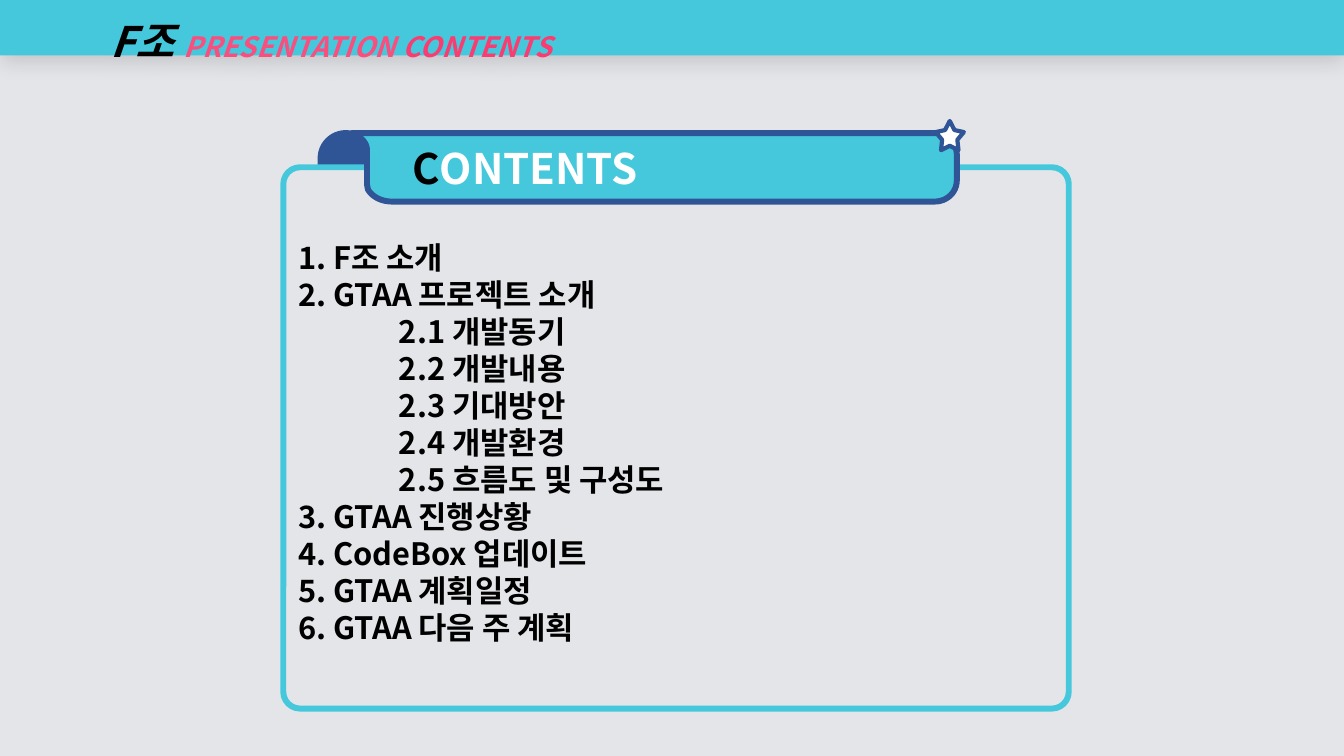
from lxml import etree
from pptx import Presentation
from pptx.dml.color import RGBColor
from pptx.enum import shapes, text
from pptx.oxml.ns import qn
from pptx.util import Inches, Pt

FONT = "Noto Sans CJK KR"
CYAN, NAVY, GREY, WHITE, BLACK = "45C8DC", "2F5597", "E3E5E9", "FFFFFF", "000000"
KIND = shapes.MSO_SHAPE


def paint(shape, fill, line=None, width=0):
    """Set fill and outline, round the corners of the outline and drop the shadow."""
    shape.shadow.inherit = False
    shape.fill.solid()
    shape.fill.fore_color.rgb = RGBColor.from_string(fill)
    if line is None:
        shape.line.fill.background()
        return
    shape.line.color.rgb = RGBColor.from_string(line)
    shape.line.width = Pt(width)
    etree.SubElement(shape.element.spPr.find(qn("a:ln")), qn("a:round"))


def write(para, spans, indent=0):
    """Add bold left-aligned spans of (wording, size, colour, italic)."""
    para.alignment = text.PP_ALIGN.LEFT
    properties = para._p.get_or_add_pPr()
    properties.set("marL", str(Inches(indent)))
    properties.set("indent", "0")
    for wording, size, colour, italic in spans:
        span = para.add_run()
        span.text = wording
        span.font.size = Pt(size)
        span.font.bold = True
        span.font.italic = italic
        span.font.name = FONT
        span.font.color.rgb = RGBColor.from_string(colour)
        etree.SubElement(span.font._element, qn("a:ea"), typeface=FONT)


deck = Presentation()
deck.slide_width, deck.slide_height = Inches(13.33), Inches(7.5)
page = deck.slides.add_slide(deck.slide_layouts[6])
page.background.fill.solid()
page.background.fill.fore_color.rgb = RGBColor.from_string(GREY)

# Curl behind the banner
curl = page.shapes.add_shape(KIND.ROUND_2_SAME_RECTANGLE, Inches(3.18), Inches(1.32), Inches(0.5), Inches(0.98))
curl.adjustments[0] = 0.5
paint(curl, NAVY, NAVY, 4.25)

# Contents panel
panel = page.shapes.add_shape(KIND.ROUNDED_RECTANGLE, Inches(2.81), Inches(1.66), Inches(7.79), Inches(5.37))
panel.adjustments[0] = 0.031
paint(panel, GREY, CYAN, 4.25)
frame = panel.text_frame
frame.word_wrap = True
frame.vertical_anchor = text.MSO_ANCHOR.MIDDLE
frame.margin_top = Inches(0.13)
entries = [
    ("1. F조 소개", 0),
    ("2. GTAA 프로젝트 소개", 0),
    ("2.1 개발동기", 1),
    ("2.2 개발내용", 1),
    ("2.3 기대방안", 1),
    ("2.4 개발환경", 1),
    ("2.5 흐름도 및 구성도", 1),
    ("3. GTAA 진행상황", 0),
    ("4. CodeBox 업데이트", 0),
    ("5. GTAA 계획일정", 0),
    ("6. GTAA 다음 주 계획", 0),
]
for number, (entry, indent) in enumerate(entries):
    para = frame.add_paragraph() if number else frame.paragraphs[0]
    write(para, [(entry, 22, BLACK, False)], indent)

# Banner: each step is an end point, or two control points and an end point
steps = [
    [(9.27, 1.32)],
    [(9.39, 1.32), (9.49, 1.42), (9.49, 1.53)],
    [(9.49, 1.79)],
    [(9.49, 1.91), (9.39, 2), (9.27, 2)],
    [(3.89, 2)],
    [(3.78, 2), (3.69, 1.95), (3.65, 1.88)],
    [(3.64, 1.83)],
    [(3.64, 1.49)],
    [(3.64, 1.43), (3.6, 1.37), (3.53, 1.35)],
    [(3.49, 1.34)],
]
outline = [(3.49, 1.32)]
for step in steps:
    if len(step) == 1:
        outline += step
        continue
    curve = [outline[-1], *step]
    for t in (n / 12 for n in range(1, 13)):
        weights = ((1 - t) ** 3, 3 * t * (1 - t) ** 2, 3 * t**2 * (1 - t), t**3)
        outline.append(tuple(sum(w * point[axis] for w, point in zip(weights, curve)) for axis in (0, 1)))
corners = [(Inches(x), Inches(y)) for x, y in outline]
builder = page.shapes.build_freeform(*corners[0])
builder.add_line_segments(corners[1:], close=True)
banner = builder.convert_to_shape()
paint(banner, CYAN, NAVY, 4.25)
banner.text_frame.word_wrap = True
banner.text_frame.vertical_anchor = text.MSO_ANCHOR.MIDDLE
write(banner.text_frame.paragraphs[0], [("C", 30, BLACK, False), ("ONTENTS", 30, WHITE, False)], 0.5)

star = page.shapes.add_shape(KIND.STAR_5_POINT, Inches(9.28), Inches(1.2), Inches(0.28), Inches(0.29))
star.adjustments[0] = 0.27
paint(star, WHITE, NAVY, 3)

# Header bar with a soft shadow below
header = page.shapes.add_shape(KIND.RECTANGLE, 0, 0, deck.slide_width, Inches(0.55))
paint(header, CYAN)
effects = header.element.spPr.find(qn("a:effectLst"))
shadow = etree.SubElement(effects, qn("a:outerShdw"), blurRad=str(Pt(15)), dist=str(Pt(3)), dir="5400000")
shade = etree.SubElement(shadow, qn("a:srgbClr"), val=BLACK)
etree.SubElement(shade, qn("a:alpha"), val="15000")
header.text_frame.word_wrap = True
header.text_frame.vertical_anchor = text.MSO_ANCHOR.MIDDLE
title = header.text_frame.paragraphs[0]
title.line_spacing = 1.5
write(title, [("F조 ", 30, BLACK, True), ("PRESENTATION ", 20, "FA4E7E", True), ("CONTENTS", 20, "FA3C71", True)], 1)

deck.save("out.pptx")
